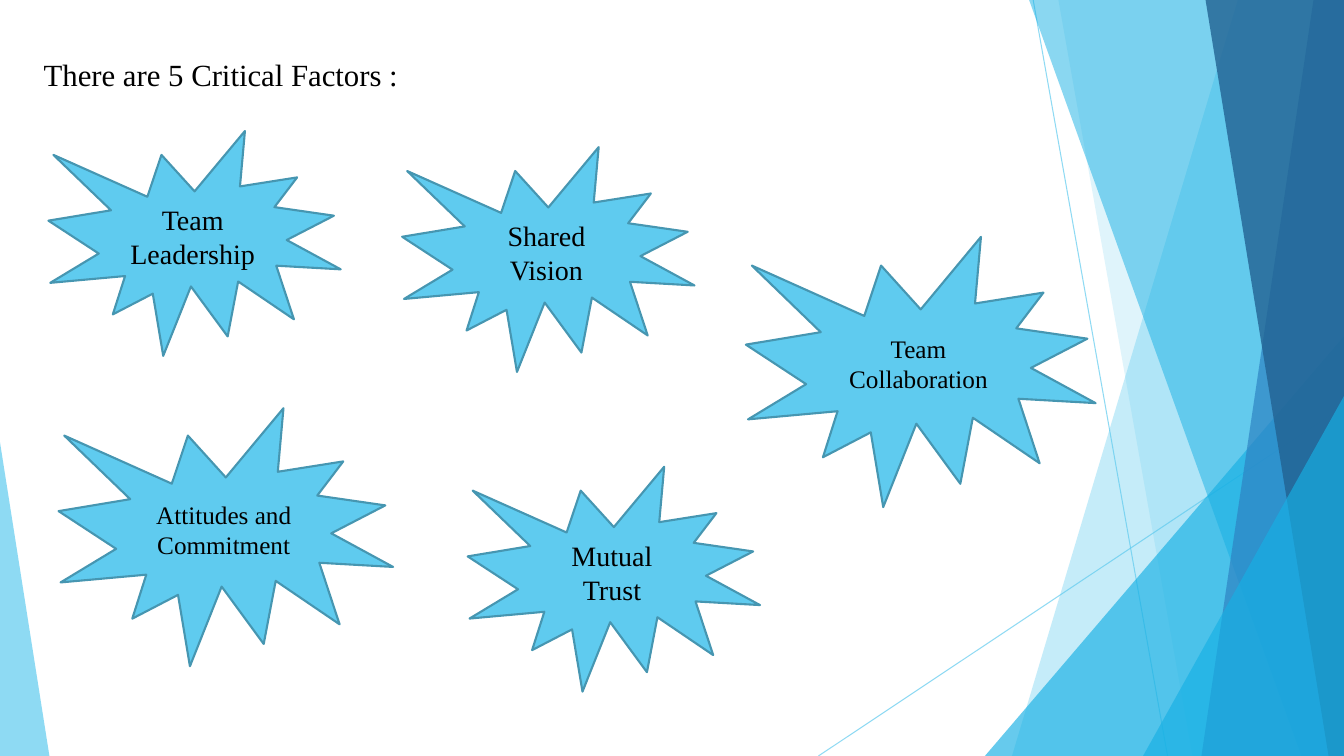
from dataclasses import dataclass

from lxml.etree import SubElement
from pptx import Presentation
from pptx.dml.color import RGBColor
from pptx.dml.fill import FillFormat
from pptx.enum.shapes import MSO_CONNECTOR as Connector, MSO_SHAPE as Preset
from pptx.enum.text import MSO_ANCHOR as Anchor, MSO_AUTO_SIZE as AutoSize, PP_ALIGN as Align
from pptx.oxml.ns import qn
from pptx.slide import Slide
from pptx.text.text import TextFrame
from pptx.util import Pt

WIDTH, HEIGHT = 960, 540
FONT = "Times New Roman"
COLORS = {
    "sky": "5FCBEF",
    "cyan": "17B0E4",
    "blue": "2E83C3",
    "navy": "226292",
    "outline": "4696B1",
    "text": "000000",
}


@dataclass(frozen=True)
class Ray:
    start: tuple[float, float]
    end: tuple[float, float]


@dataclass(frozen=True)
class Panel:
    top_left: float
    bottom_left: float
    color: str
    opacity: int


@dataclass(frozen=True)
class Wedge:
    left: float
    top: float
    width: float
    apex: float
    color: str
    opacity: int


@dataclass(frozen=True)
class Factor:
    label: str
    left: float
    top: float
    width: float = 208.8
    height: float = 160.6
    size: int = 20


RAYS = [Ray((738, 0), (834, 540)), Ray((960, 290), (584.6, 540))]
FACETS = [
    Panel(884.2, 722.9, "sky", 36),
    Panel(756, 851.8, "sky", 20),
    Wedge(703.5, 240, 256.5, 1, "cyan", 66),
    Panel(735.1, 929.5, "cyan", 50),
    Panel(938.2, 858.2, "blue", 70),
    Panel(861.1, 949, "navy", 80),
    Wedge(816.5, 283, 143.5, 1, "cyan", 66),
    Wedge(0, 316, 35.3, 0, "sky", 70),
]
FACTORS = [
    Factor("Team Leadership", 34.6, 93.6),
    Factor("Shared Vision", 287.3, 105.1),
    Factor("Attitudes and Commitment", 41.8, 291.6, 239, 184.3, 18),
    Factor("Mutual Trust", 334.1, 333.4),
    Factor("Team Collaboration", 532.8, 169.2, 249.8, 193, 18),
]


def paint(fill: FillFormat, color: str, opacity: int = 100) -> None:
    """Apply a solid colour, with transparency below 100 percent opacity."""
    fill.solid()
    fill.fore_color.rgb = RGBColor.from_string(COLORS[color])
    if opacity < 100:
        color_element = fill._xPr.find(qn("a:solidFill"))[0]
        SubElement(color_element, qn("a:alpha"), val=str(opacity * 1000))


def write(frame: TextFrame, text: str, size: int, alignment: Align) -> None:
    """Write one formatted run, vertically centred in its frame."""
    frame.word_wrap = True
    frame.auto_size = AutoSize.NONE
    frame.vertical_anchor = Anchor.MIDDLE
    paragraph = frame.paragraphs[0]
    paragraph.alignment = alignment
    run = paragraph.add_run()
    run.text = text
    run.font.name = FONT
    run.font.size = Pt(size)
    run.font.color.rgb = RGBColor.from_string(COLORS["text"])


def draw_ray(slide: Slide, ray: Ray) -> None:
    """Draw a thin translucent line."""
    ends = [Pt(value) for value in ray.start + ray.end]
    line = slide.shapes.add_connector(Connector.STRAIGHT, *ends)
    line.line.width = Pt(0.75)
    paint(line.line.fill, "sky", 70)
    SubElement(line._element.spPr, qn("a:effectLst"))


def draw_facet(slide: Slide, facet: Panel | Wedge) -> None:
    """Draw a full-height panel on the right edge or a wedge on the bottom edge."""
    if isinstance(facet, Panel):
        builder = slide.shapes.build_freeform(Pt(facet.top_left), 0)
        corners = [(WIDTH, 0), (WIDTH, HEIGHT), (facet.bottom_left, HEIGHT)]
        builder.add_line_segments([(Pt(x), Pt(y)) for x, y in corners])
        shape = builder.convert_to_shape()
    else:
        shape = slide.shapes.add_shape(
            Preset.ISOSCELES_TRIANGLE,
            Pt(facet.left), Pt(facet.top), Pt(facet.width), Pt(HEIGHT - facet.top),
        )
        shape.adjustments[0] = facet.apex
    shape.shadow.inherit = False
    paint(shape.fill, facet.color, facet.opacity)
    shape.line.fill.background()


def draw_factor(slide: Slide, factor: Factor) -> None:
    """Draw a labelled starburst."""
    shape = slide.shapes.add_shape(
        Preset.EXPLOSION1,
        Pt(factor.left), Pt(factor.top), Pt(factor.width), Pt(factor.height),
    )
    shape.shadow.inherit = False
    paint(shape.fill, "sky")
    paint(shape.line.fill, "outline")
    shape.line.width = Pt(1.5)
    write(shape.text_frame, factor.label, factor.size, Align.CENTER)


def main() -> None:
    """Build and save the slide."""
    presentation = Presentation()
    presentation.slide_width, presentation.slide_height = Pt(WIDTH), Pt(HEIGHT)
    slide = presentation.slides.add_slide(presentation.slide_layouts.get_by_name("Title Only"))
    for ray in RAYS:
        draw_ray(slide, ray)
    for facet in FACETS:
        draw_facet(slide, facet)
    title = slide.shapes.title
    title.left, title.top, title.width, title.height = Pt(24), Pt(36), Pt(310), Pt(34)
    write(title.text_frame, "There are 5 Critical Factors :", 22, Align.LEFT)
    for factor in FACTORS:
        draw_factor(slide, factor)
    presentation.save("out.pptx")


if __name__ == "__main__":
    main()
